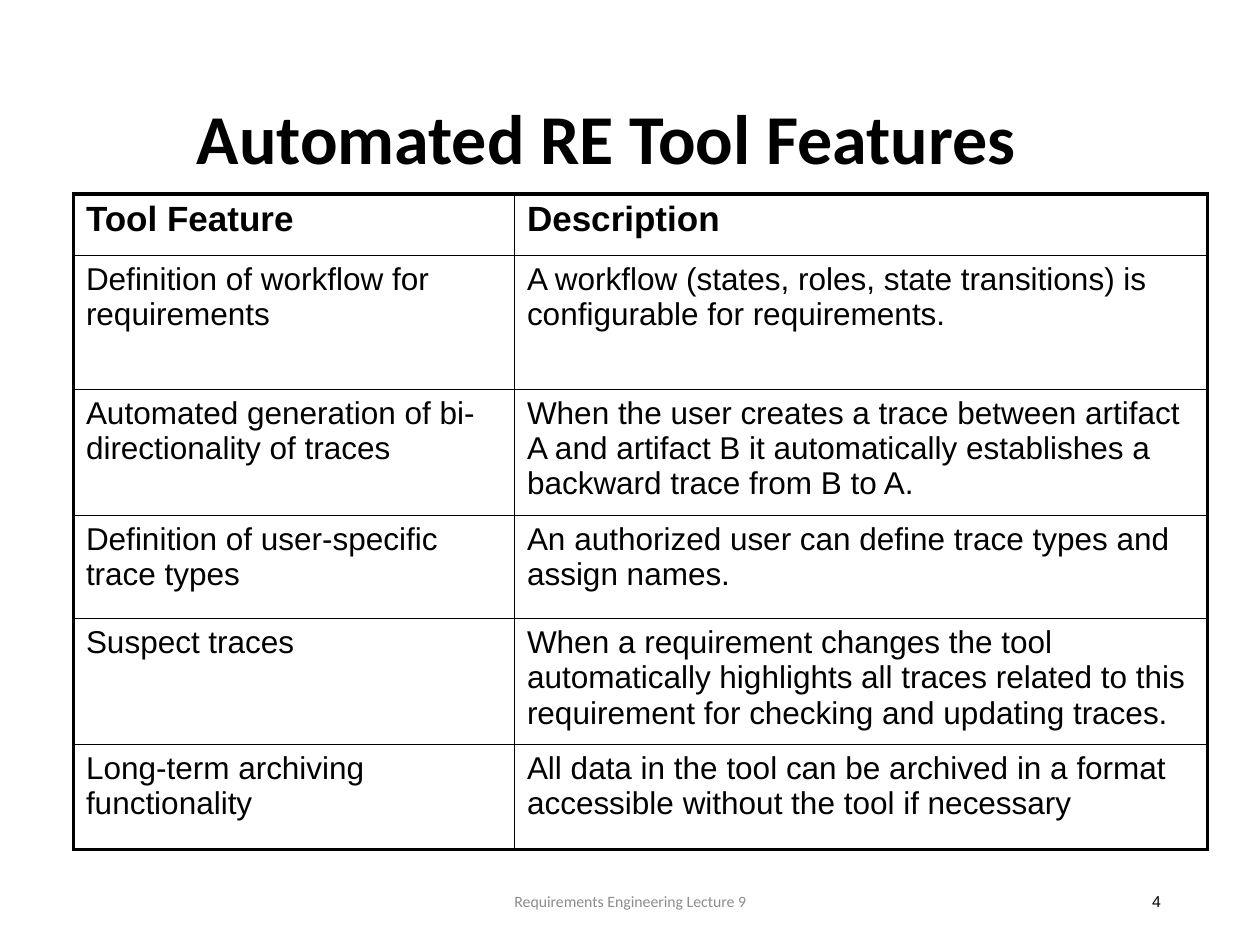
import dataclasses

import lxml.etree
import pptx
import pptx.dml.color
import pptx.enum.text
import pptx.oxml.ns
import pptx.util

Cm = pptx.util.Cm
Pt = pptx.util.Pt
ALIGN = pptx.enum.text.PP_ALIGN
MIDDLE = pptx.enum.text.MSO_ANCHOR.MIDDLE
BLACK = "000000"
THIN, THICK = 1, 2.25


@dataclasses.dataclass
class Box:
    left: float
    top: float
    width: float
    height: float

    def lengths(self) -> tuple:
        return tuple(Cm(side) for side in dataclasses.astuple(self))


@dataclasses.dataclass
class Font:
    name: str
    size: float
    hue: str = BLACK
    bold: bool = False


@dataclasses.dataclass
class Row:
    height: float
    feature: str
    detail: str
    font: Font


@dataclasses.dataclass
class Note:
    box: Box
    text: str
    font: Font
    align: ALIGN


HEAD = Font("Arial", 20, bold=True)
BODY = Font("Arial", 18)
TITLE = Font("Calibri", 40, bold=True)
TITLE_BOX = Box(0.79, 1.27, 22.86, 3.18)
GRID_BOX = Box(1.48, 3.91, 22.86, 13.21)
WIDTHS = (8.89, 13.97)
ROWS = [
    Row(1.24, "Tool Feature", "Description", HEAD),
    Row(2.7, "Definition of workflow for requirements",
        "A workflow (states, roles, state transitions) is configurable for requirements.", BODY),
    Row(2.54, "Automated generation of bi-directionality of traces",
        "When the user creates a trace between artifact A and artifact B it "
        "automatically establishes a backward trace from B to A.", BODY),
    Row(2.08, "Definition of user-specific trace types",
        "An authorized user can define trace types and assign names.", BODY),
    Row(2.54, "Suspect traces",
        "When a requirement changes the tool automatically highlights all traces "
        "related to this requirement for checking and updating traces.", BODY),
    Row(2.11, "Long-term archiving functionality",
        "All data in the tool can be archived in a format accessible without "
        "the tool if necessary", BODY),
]
NOTES = [
    Note(Box(8.41, 17.65, 8.59, 1.02), "Requirements Engineering Lecture 9",
         Font("Calibri", 9, "8C8C8C"), ALIGN.CENTER),
    Note(Box(17.93, 17.65, 5.72, 1.02), "4", Font("Arial", 9), ALIGN.RIGHT),
]


def color(value: str) -> pptx.dml.color.RGBColor:
    return pptx.dml.color.RGBColor.from_string(value)


def write(frame, text: str, font: Font, align: ALIGN = ALIGN.LEFT):
    para = frame.paragraphs[0]
    para.alignment = align
    run = para.add_run()
    run.text = text
    run.font.name = font.name
    run.font.size = Pt(font.size)
    run.font.bold = font.bold
    run.font.color.rgb = color(font.hue)
    return para


def border(cell, widths: dict) -> None:
    props = cell._tc.get_or_add_tcPr()
    for spot, (side, width) in enumerate(widths.items()):
        line = lxml.etree.Element(pptx.oxml.ns.qn(f"a:ln{side}"), w=str(Pt(width)))
        fill = lxml.etree.SubElement(line, pptx.oxml.ns.qn("a:solidFill"))
        lxml.etree.SubElement(fill, pptx.oxml.ns.qn("a:srgbClr"), val=BLACK)
        props.insert(spot, line)


def edge(outer: bool) -> float:
    return THICK if outer else THIN


def draw_title(slide) -> None:
    title = slide.shapes.title
    title.left, title.top, title.width, title.height = TITLE_BOX.lengths()
    title.text_frame.vertical_anchor = MIDDLE
    para = write(title.text_frame, "Automated RE Tool Features", TITLE, ALIGN.CENTER)
    para.line_spacing = 0.9


def draw_table(slide) -> None:
    table = slide.shapes.add_table(len(ROWS), len(WIDTHS), *GRID_BOX.lengths()).table
    table.horz_banding = False
    for column, width in zip(table.columns, WIDTHS):
        column.width = Cm(width)
    for down, row in enumerate(ROWS):
        table.rows[down].height = Cm(row.height)
        for across, text in enumerate((row.feature, row.detail)):
            cell = table.cell(down, across)
            cell.fill.background()
            write(cell.text_frame, text, row.font)
            border(cell, {
                "L": edge(across == 0),
                "R": edge(across == len(WIDTHS) - 1),
                "T": edge(down == 0),
                "B": edge(down == len(ROWS) - 1),
            })


def draw_note(slide, note: Note) -> None:
    frame = slide.shapes.add_textbox(*note.box.lengths()).text_frame
    frame.word_wrap = True
    frame.vertical_anchor = MIDDLE
    write(frame, note.text, note.font, note.align)


def main() -> None:
    deck = pptx.Presentation()
    deck.slide_width, deck.slide_height = Cm(25.4), Cm(19.05)
    slide = deck.slides.add_slide(deck.slide_layouts[5])
    for note in NOTES:
        draw_note(slide, note)
    draw_title(slide)
    draw_table(slide)
    deck.save("out.pptx")


if __name__ == "__main__":
    main()
